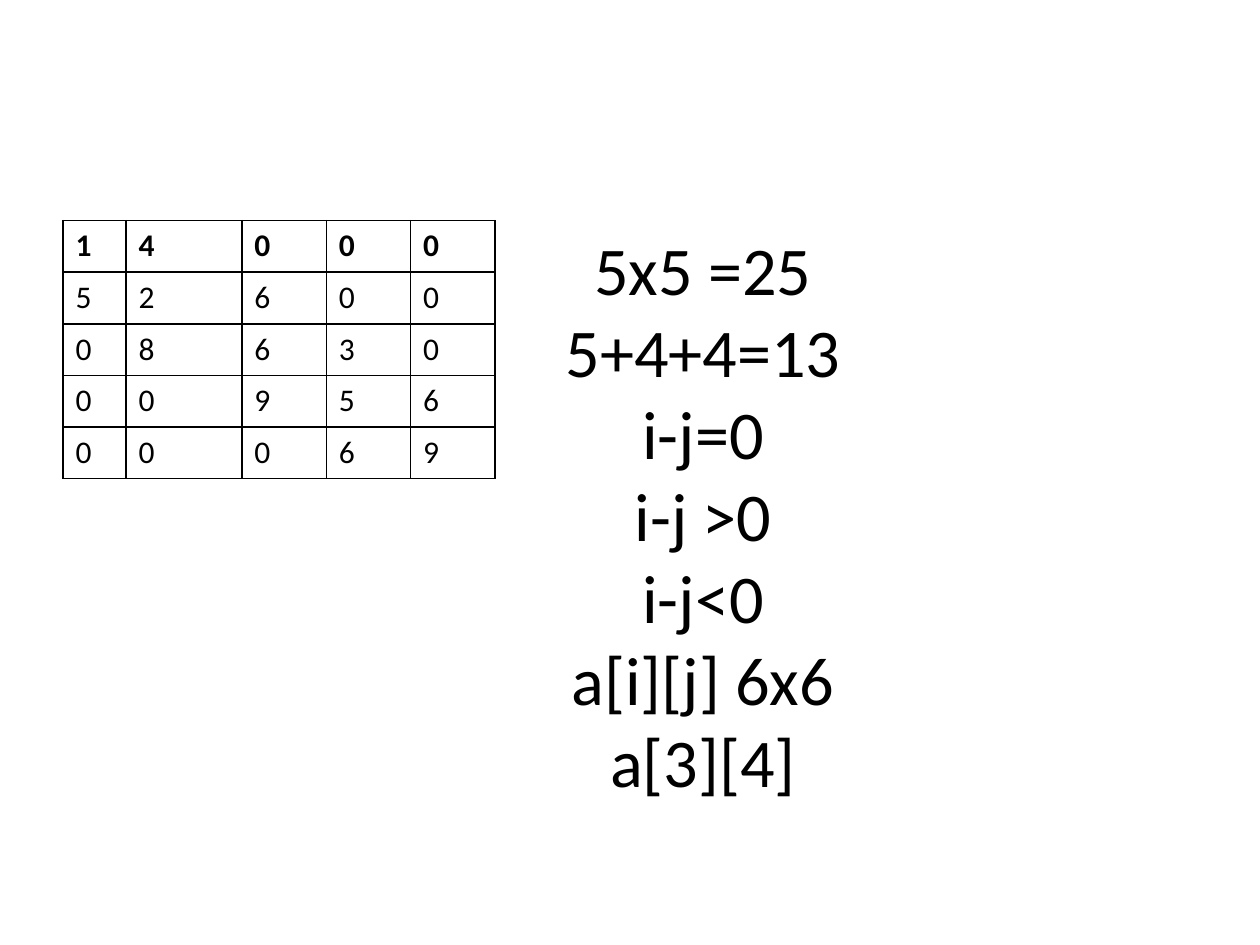
from lxml.etree import SubElement
from pptx import Presentation
from pptx.dml.color import RGBColor
from pptx.enum.text import MSO_ANCHOR, PP_ALIGN
from pptx.oxml.ns import qn
from pptx.util import Inches, Pt

# Content
MATRIX = [
    [1, 4, 0, 0, 0],
    [5, 2, 6, 0, 0],
    [0, 8, 6, 3, 0],
    [0, 0, 9, 5, 6],
    [0, 0, 0, 6, 9],
]
FORMULAS = ["5x5 =25", "5+4+4=13", "i-j=0", "i-j >0", "i-j<0", "a[i][j] 6x6", "a[3][4]"]

COLUMN_WIDTHS = [0.5, 0.92, 0.67, 0.67, 0.67]
ROW_HEIGHT = 0.41
BLACK, WHITE = "000000", "FFFFFF"


def color(value):
    return RGBColor.from_string(value)


def write_text(frame, lines, size, bold=False, align=PP_ALIGN.LEFT):
    for index, line in enumerate(lines):
        paragraph = frame.paragraphs[0] if index == 0 else frame.add_paragraph()
        paragraph.text = line
        paragraph.alignment = align
        font = paragraph.font
        font.name, font.size, font.bold = "Calibri", Pt(size), bold
        font.color.rgb = color(BLACK)


def add_borders(cell, line_color, width):
    properties = cell._tc.get_or_add_tcPr()
    for position, side in enumerate(("a:lnL", "a:lnR", "a:lnT", "a:lnB")):
        line = properties.makeelement(qn(side), {"w": str(Pt(width))})
        fill = SubElement(line, qn("a:solidFill"))
        SubElement(fill, qn("a:srgbClr"), val=line_color)
        properties.insert(position, line)


presentation = Presentation()
presentation.slide_width, presentation.slide_height = Inches(10), Inches(7.5)
slide = presentation.slides.add_slide(presentation.slide_layouts[6])

# Formulas
formula_box = slide.shapes.add_textbox(Inches(1.08), Inches(1.33), Inches(9), Inches(5.5))
formula_frame = formula_box.text_frame
formula_frame.word_wrap = True
formula_frame.vertical_anchor = MSO_ANCHOR.MIDDLE
write_text(formula_frame, FORMULAS, size=39, align=PP_ALIGN.CENTER)

# Band matrix
table = slide.shapes.add_table(
    len(MATRIX), len(COLUMN_WIDTHS), Inches(0.5), Inches(1.75),
    Inches(sum(COLUMN_WIDTHS)), Inches(ROW_HEIGHT * len(MATRIX)),
).table
for column, width in zip(table.columns, COLUMN_WIDTHS):
    column.width = Inches(width)
for row_index, values in enumerate(MATRIX):
    table.rows[row_index].height = Inches(ROW_HEIGHT)
    for column_index, value in enumerate(values):
        cell = table.cell(row_index, column_index)
        cell.fill.solid()
        cell.fill.fore_color.rgb = color(WHITE)
        add_borders(cell, BLACK, width=1)
        write_text(cell.text_frame, [str(value)], size=18, bold=row_index == 0)

presentation.save("out.pptx")
